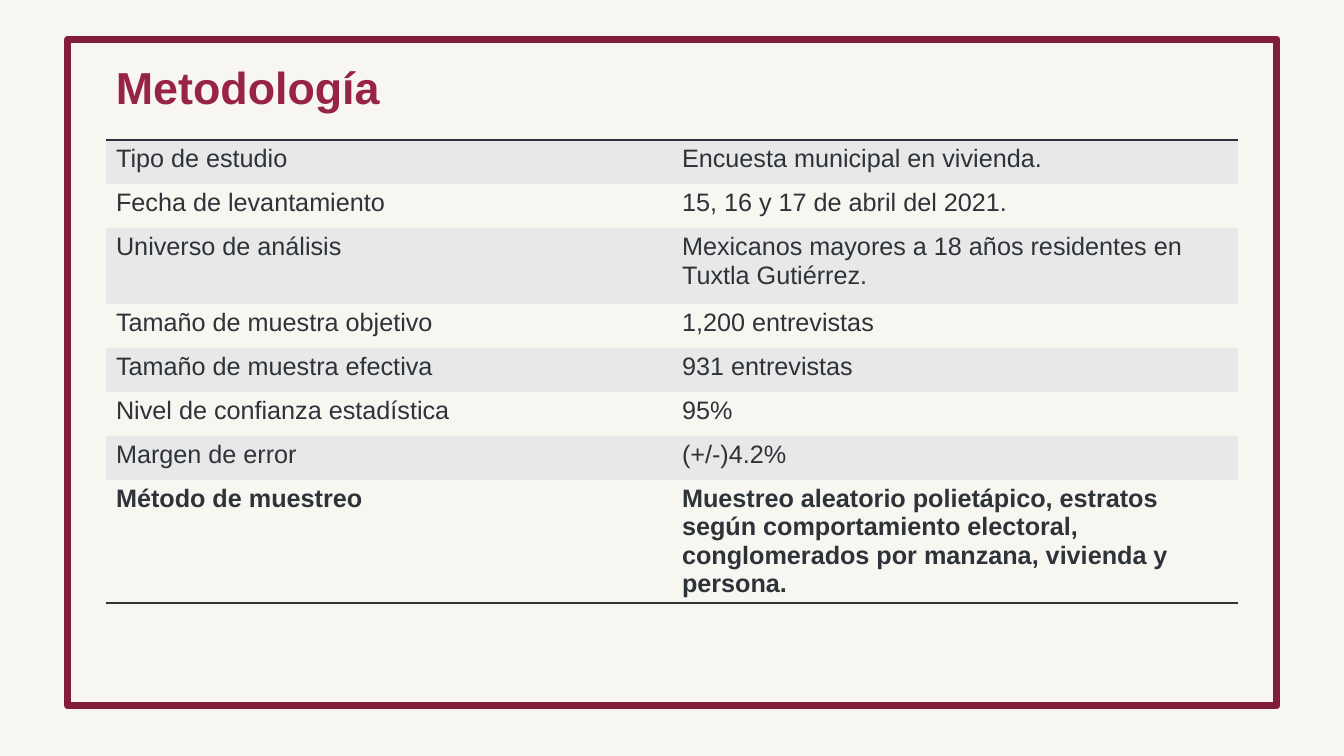
"""Builds the survey methodology slide with its framed two-column table."""
from lxml import etree
from pptx import Presentation
from pptx.dml.color import RGBColor
from pptx.enum.shapes import MSO_SHAPE
from pptx.enum.text import MSO_ANCHOR
from pptx.oxml.ns import qn
from pptx.util import Pt

RECTANGLE = MSO_SHAPE.RECTANGLE
MIDDLE = MSO_ANCHOR.MIDDLE
PX = 9071.43
FONT = "Arial"
NO_STYLE = "{2D5ABB26-0587-4C30-8999-92F81FD0307C}"
COLORS = {
    "background": "F7F6F1",
    "band": "E8E8E8",
    "frame": "821C3B",
    "title": "982348",
    "ink": "2D3338",
}
ROWS = [
    ("Tipo de estudio", "Encuesta municipal en vivienda.", 44),
    ("Fecha de levantamiento", "15, 16 y 17 de abril del 2021.", 44),
    ("Universo de análisis",
     "Mexicanos mayores a 18 años residentes en Tuxtla Gutiérrez.", 76),
    ("Tamaño de muestra objetivo", "1,200 entrevistas", 44),
    ("Tamaño de muestra efectiva", "931 entrevistas", 44),
    ("Nivel de confianza estadística", "95%", 44),
    ("Margen de error", "(+/-)4.2%", 44),
    ("Método de muestreo",
     "Muestreo aleatorio polietápico, estratos según comportamiento electoral, "
     "conglomerados por manzana, vivienda y persona.", 123),
]
LAST = len(ROWS) - 1


def px(*lengths):
    return [round(length * PX) for length in lengths]


def style_text(paragraph, size, color, bold):
    for run in paragraph.runs:
        run.font.name = FONT
        run.font.size = Pt(size)
        run.font.bold = bold
        run.font.color.rgb = RGBColor.from_string(COLORS[color])


presentation = Presentation()
presentation.slide_width, presentation.slide_height = px(1344, 756)
slide = presentation.slides.add_slide(presentation.slide_layouts[6])
slide.background.fill.solid()
slide.background.fill.fore_color.rgb = RGBColor.from_string(COLORS["background"])

frame = slide.shapes.add_shape(RECTANGLE, *px(68, 39, 1209, 667))
frame.shadow.inherit = False
frame.fill.background()
frame.line.color.rgb = RGBColor.from_string(COLORS["frame"])
frame.line.width = Pt(5)

table_height = sum(height for _, _, height in ROWS)
table_shape = slide.shapes.add_table(len(ROWS), 2, *px(106, 140, 1132, table_height))
table = table_shape.table
table.first_row = False
table.horz_banding = False
table._tbl.tblPr.find(qn("a:tableStyleId")).text = NO_STYLE
for column in table.columns:
    column.width = px(566)[0]

for row_index, (label, value, height) in enumerate(ROWS):
    table.rows[row_index].height = px(height)[0]
    for column_index, text in enumerate((label, value)):
        cell = table.cell(row_index, column_index)
        cell.text_frame.text = text
        style_text(cell.text_frame.paragraphs[0], 18, "ink", row_index == LAST)
        cell.fill.solid()
        fill_name = "background" if row_index % 2 else "band"
        cell.fill.fore_color.rgb = RGBColor.from_string(COLORS[fill_name])
        if row_index in (0, LAST):
            edge = "a:lnB" if row_index else "a:lnT"
            border = etree.Element(qn(edge), w=str(Pt(2)))
            solid_fill = etree.SubElement(border, qn("a:solidFill"))
            etree.SubElement(solid_fill, qn("a:srgbClr"), val=COLORS["ink"])
            cell._tc.get_or_add_tcPr().insert(0, border)

title = slide.shapes.add_textbox(*px(106, 17, 1132, 146))
title.text_frame.word_wrap = True
title.text_frame.vertical_anchor = MIDDLE
title.text_frame.text = "Metodología"
title_paragraph = title.text_frame.paragraphs[0]
title_paragraph.line_spacing = 0.9
style_text(title_paragraph, 32, "title", True)

presentation.save("out.pptx")
